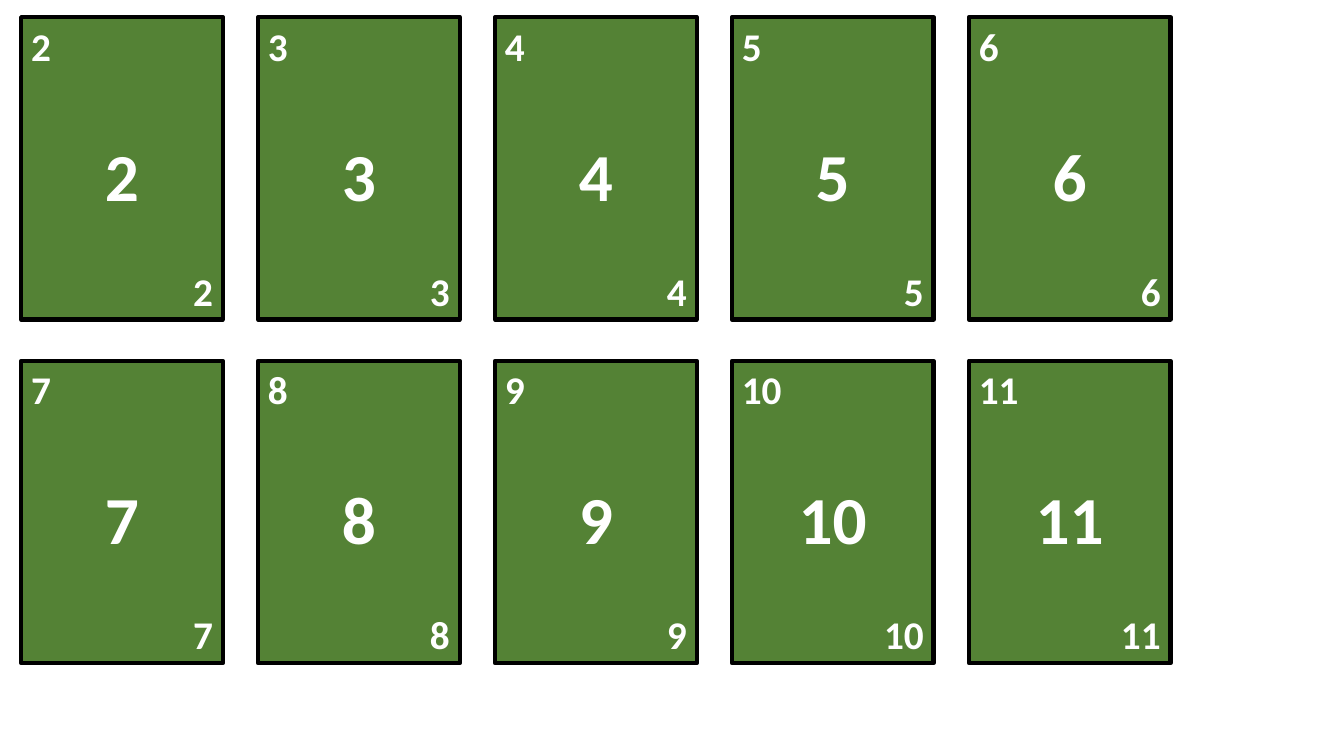
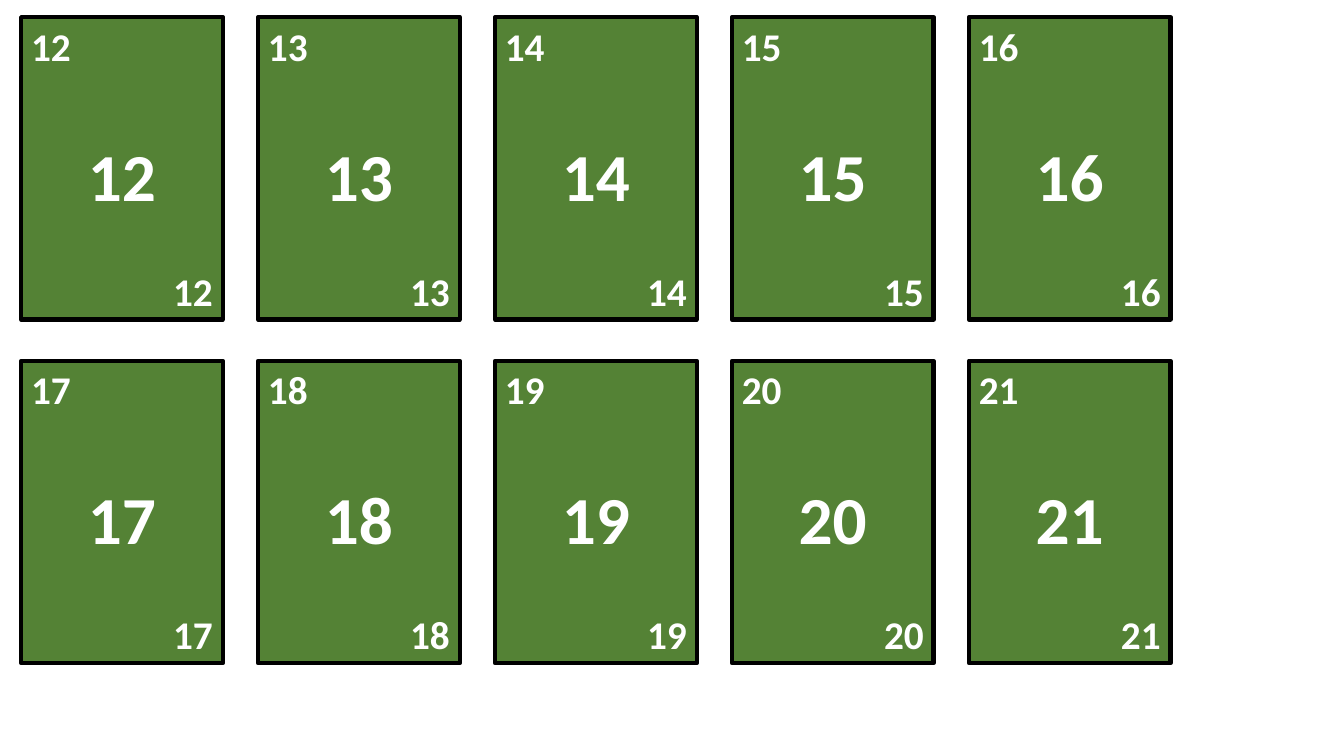
from dataclasses import dataclass

from pptx import Presentation
from pptx.dml.color import RGBColor
from pptx.enum.shapes import MSO_SHAPE
from pptx.enum.text import MSO_AUTO_SIZE, PP_ALIGN
from pptx.util import Inches, Pt

DECKS = [
    [["2", "3", "4", "5", "6"],
     ["7", "8", "9", "10", "11"]],
    [["12", "13", "14", "15", "16"],
     ["17", "18", "19", "20", "21"]],
]


@dataclass(frozen=True)
class Theme:
    font: str = "Calibri"
    card: RGBColor = RGBColor(0x54, 0x82, 0x35)
    border: RGBColor = RGBColor(0x00, 0x00, 0x00)
    number: RGBColor = RGBColor(0xFF, 0xFF, 0xFF)
    border_width: int = 3
    center_size: int = 48
    corner_size: int = 28


THEME = Theme()
SLIDE_WIDTH, SLIDE_HEIGHT = 13.33, 7.5
MARGIN_LEFT, MARGIN_TOP = 0.21, 0.17
CARD_WIDTH, CARD_HEIGHT = 2, 3
COLUMN_STEP, ROW_STEP = CARD_WIDTH + 0.35, CARD_HEIGHT + 0.41
CORNER_HEIGHT, CENTER_HEIGHT = 0.57, 0.91

NUMBER_SPOTS = [
    (1.11, CENTER_HEIGHT, THEME.center_size, PP_ALIGN.CENTER),
    (0, CORNER_HEIGHT, THEME.corner_size, PP_ALIGN.LEFT),
    (CARD_HEIGHT - CORNER_HEIGHT, CORNER_HEIGHT, THEME.corner_size, PP_ALIGN.RIGHT),
]


def add_number(card, number, left, top, height, size, alignment):
    label = card.shapes.add_textbox(
        Inches(left), Inches(top), Inches(CARD_WIDTH), Inches(height))
    frame = label.text_frame
    frame.word_wrap = True
    frame.auto_size = MSO_AUTO_SIZE.SHAPE_TO_FIT_TEXT
    frame.text = number
    paragraph = frame.paragraphs[0]
    paragraph.alignment = alignment
    font = paragraph.runs[0].font
    font.name = THEME.font
    font.size = Pt(size)
    font.bold = True
    font.color.rgb = THEME.number


def add_card(slide, number, column, row):
    left = MARGIN_LEFT + column * COLUMN_STEP
    top = MARGIN_TOP + row * ROW_STEP
    card = slide.shapes.add_group_shape()
    face = card.shapes.add_shape(
        MSO_SHAPE.RECTANGLE,
        Inches(left), Inches(top), Inches(CARD_WIDTH), Inches(CARD_HEIGHT))
    face.shadow.inherit = False
    face.fill.solid()
    face.fill.fore_color.rgb = THEME.card
    face.line.color.rgb = THEME.border
    face.line.width = Pt(THEME.border_width)
    for offset, height, size, alignment in NUMBER_SPOTS:
        add_number(card, number, left, top + offset, height, size, alignment)


def main():
    presentation = Presentation()
    presentation.slide_width = Inches(SLIDE_WIDTH)
    presentation.slide_height = Inches(SLIDE_HEIGHT)
    blank = presentation.slide_layouts[6]
    for deck in DECKS:
        slide = presentation.slides.add_slide(blank)
        for row, numbers in enumerate(deck):
            for column, number in enumerate(numbers):
                add_card(slide, number, column, row)
    presentation.save("out.pptx")


if __name__ == "__main__":
    main()
